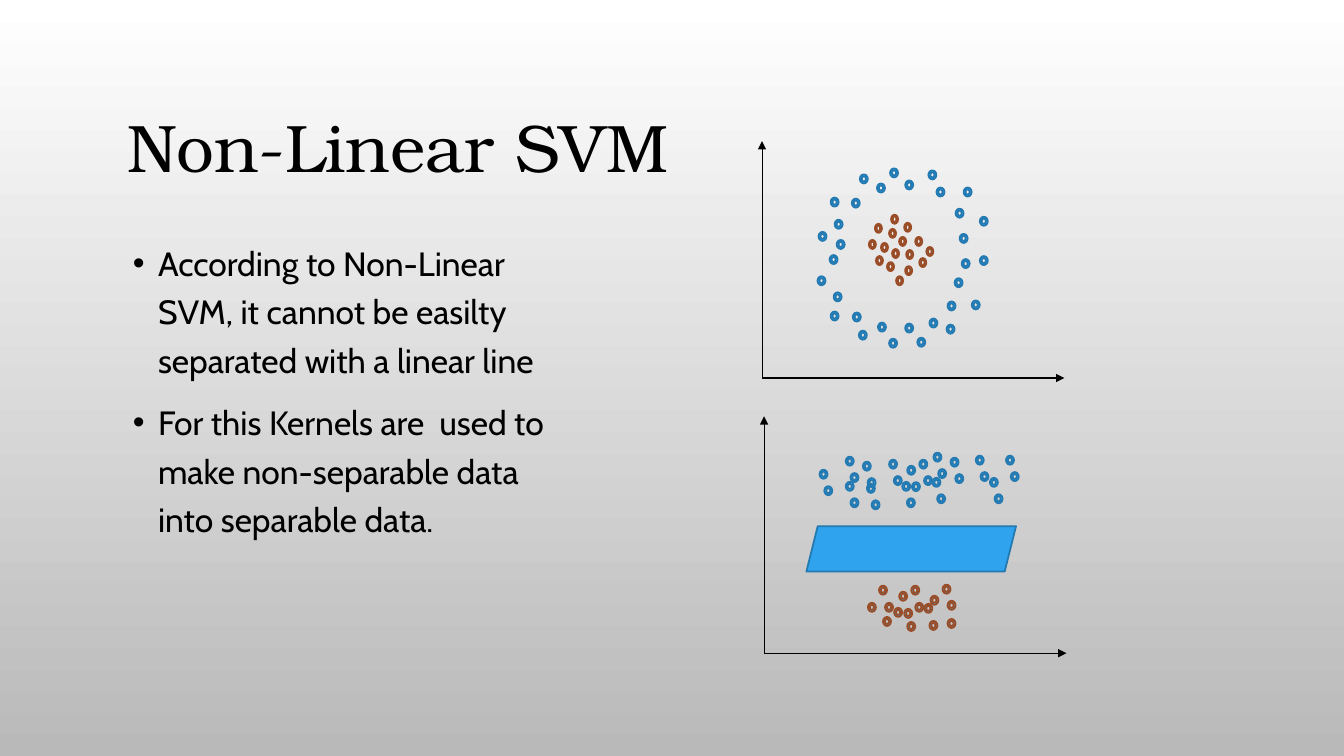
from dataclasses import dataclass

from lxml.etree import SubElement
from pptx import Presentation
from pptx.dml.color import RGBColor
from pptx.enum.shapes import MSO_CONNECTOR, MSO_SHAPE
from pptx.enum.text import MSO_ANCHOR, PP_ALIGN
from pptx.oxml.ns import qn
from pptx.util import Pt

# Content
TITLE = "Non-Linear SVM"
BULLETS = [
    "According to Non-Linear SVM, it cannot be easilty separated with a linear line",
    "For this Kernels are  used to make non-separable data into separable data.",
]

# Dot corners and plot origins, in grid steps from the slide's top left
GRID = 0.72
RING = [
    (824, 196), (853, 173), (812, 230), (883, 167), (811, 274), (910, 335),
    (852, 328), (824, 309), (956, 186), (972, 215), (972, 254), (964, 298),
    (882, 336), (921, 169), (939, 322), (828, 218), (823, 253), (845, 197),
    (870, 182), (898, 179), (929, 186), (940, 299), (827, 290), (846, 310),
    (871, 320), (898, 321), (922, 316), (948, 207), (952, 232), (947, 276),
    (830, 238), (954, 257),
]
CORE = [
    (869, 254), (874, 241), (880, 260), (885, 247), (882, 227), (892, 235),
    (899, 248), (889, 274), (862, 238), (897, 221), (908, 235), (912, 256),
    (868, 222), (919, 245), (898, 264), (884, 213),
]
BAND = [
    (813, 466), (839, 478), (839, 453), (860, 480), (856, 458), (895, 478),
    (882, 456), (912, 456), (900, 462), (925, 474), (926, 449), (943, 454),
    (982, 474), (968, 452), (998, 452),
]
BAND_SHIFT = (4.7, 16.3)  # the band is two equal groups, the second moved by this
CLUSTER = [
    (887, 603), (872, 581), (904, 581), (892, 587), (917, 599), (935, 580),
    (900, 617), (878, 598), (908, 598), (897, 604), (922, 616), (923, 591),
    (940, 596), (940, 614), (861, 598), (876, 612),
]
UPPER_ORIGIN, LOWER_ORIGIN = (756, 375), (758, 648)
AXIS_WIDTH, AXIS_HEIGHT = 300, 235
PLANE = (800, 522, 208, 45)
DOT_HEIGHT, DOT_WIDTH, CORE_DOT_WIDTH = 9, 8, 7


@dataclass(frozen=True)
class Theme:
    black: RGBColor = RGBColor(0, 0, 0)
    top: RGBColor = RGBColor(0xFF, 0xFF, 0xFF)
    bottom: RGBColor = RGBColor(0xB9, 0xB9, 0xB9)
    fill: RGBColor = RGBColor(0x2F, 0xA3, 0xEE)
    blue: RGBColor = RGBColor(0x23, 0x79, 0xB0)
    brown: RGBColor = RGBColor(0x9B, 0x4C, 0x25)
    title_font: str = "TeX Gyre Bonum"
    body_font: str = "Cabin"
    title_size: int = 48
    body_size: int = 24
    axis_line: float = 0.75
    shape_line: float = 1.25


THEME = Theme()


def add_span(para, text, font, size):
    span = para.add_run()
    span.text = text
    span.font.name = font
    span.font.size = Pt(size)
    span.font.color.rgb = THEME.black


def add_bullet(para):
    properties = para._p.get_or_add_pPr()
    properties.set("marL", str(Pt(18)))
    properties.set("indent", str(-Pt(18)))
    SubElement(properties, qn("a:buFont")).set("typeface", "Arial")
    SubElement(properties, qn("a:buChar")).set("char", "•")


def add_filled(page, kind, left, top, width, height, line_color):
    shape = page.shapes.add_shape(
        kind, *(Pt(GRID * steps) for steps in (left, top, width, height)))
    shape.shadow.inherit = False
    shape.fill.solid()
    shape.fill.fore_color.rgb = THEME.fill
    shape.line.color.rgb = line_color
    shape.line.width = Pt(THEME.shape_line)


def add_dots(page, corners, line_color, width=DOT_WIDTH, shift=(0, 0)):
    for left, top in corners:
        add_filled(page, MSO_SHAPE.DONUT, left + shift[0], top + shift[1],
                   width, DOT_HEIGHT, line_color)


def add_axes(page, origin):
    x, y = origin
    for end_x, end_y in ((x + AXIS_WIDTH, y), (x, y - AXIS_HEIGHT)):
        axis = page.shapes.add_connector(
            MSO_CONNECTOR.STRAIGHT, *(Pt(GRID * steps) for steps in (x, y, end_x, end_y)))
        axis.line.color.rgb = THEME.black
        axis.line.width = Pt(THEME.axis_line)
        SubElement(axis.line._get_or_add_ln(), qn("a:tailEnd")).set("type", "triangle")
        SubElement(axis._element.spPr, qn("a:effectLst"))


def add_texts(page):
    # Title
    title = page.shapes.title
    title.left, title.top, title.width, title.height = Pt(84.2), Pt(78.5), Pt(418.3), Pt(58.3)
    title.text_frame.vertical_anchor = MSO_ANCHOR.MIDDLE
    para = title.text_frame.paragraphs[0]
    para.alignment = PP_ALIGN.LEFT
    para.line_spacing = 0.9
    add_span(para, TITLE, THEME.title_font, THEME.title_size)

    # Bullets
    box = page.shapes.add_textbox(Pt(87.8), Pt(164.2), Pt(331.9), Pt(229))
    frame = box.text_frame
    frame.word_wrap = True
    for index, text in enumerate(BULLETS):
        para = frame.add_paragraph() if index else frame.paragraphs[0]
        para.line_spacing = 1.2
        para.space_before = Pt(10)
        add_bullet(para)
        add_span(para, text, THEME.body_font, THEME.body_size)


def main():
    deck = Presentation()
    deck.slide_width, deck.slide_height = Pt(960), Pt(540)
    page = deck.slides.add_slide(deck.slide_layouts[5])

    # Background
    backdrop = page.background.fill
    backdrop.gradient()
    backdrop.gradient_angle = 270
    for stop, color in zip(backdrop.gradient_stops, (THEME.top, THEME.bottom)):
        stop.color.rgb = color

    add_texts(page)

    # Upper plot: ring around a core
    add_axes(page, UPPER_ORIGIN)
    add_dots(page, RING, THEME.blue)
    add_dots(page, CORE, THEME.brown, CORE_DOT_WIDTH)

    # Lower plot: plane between the two classes
    add_axes(page, LOWER_ORIGIN)
    add_filled(page, MSO_SHAPE.PARALLELOGRAM, *PLANE, THEME.blue)
    add_dots(page, BAND, THEME.blue)
    add_dots(page, BAND, THEME.blue, shift=BAND_SHIFT)
    add_dots(page, CLUSTER, THEME.brown)

    deck.save("out.pptx")


if __name__ == "__main__":
    main()
